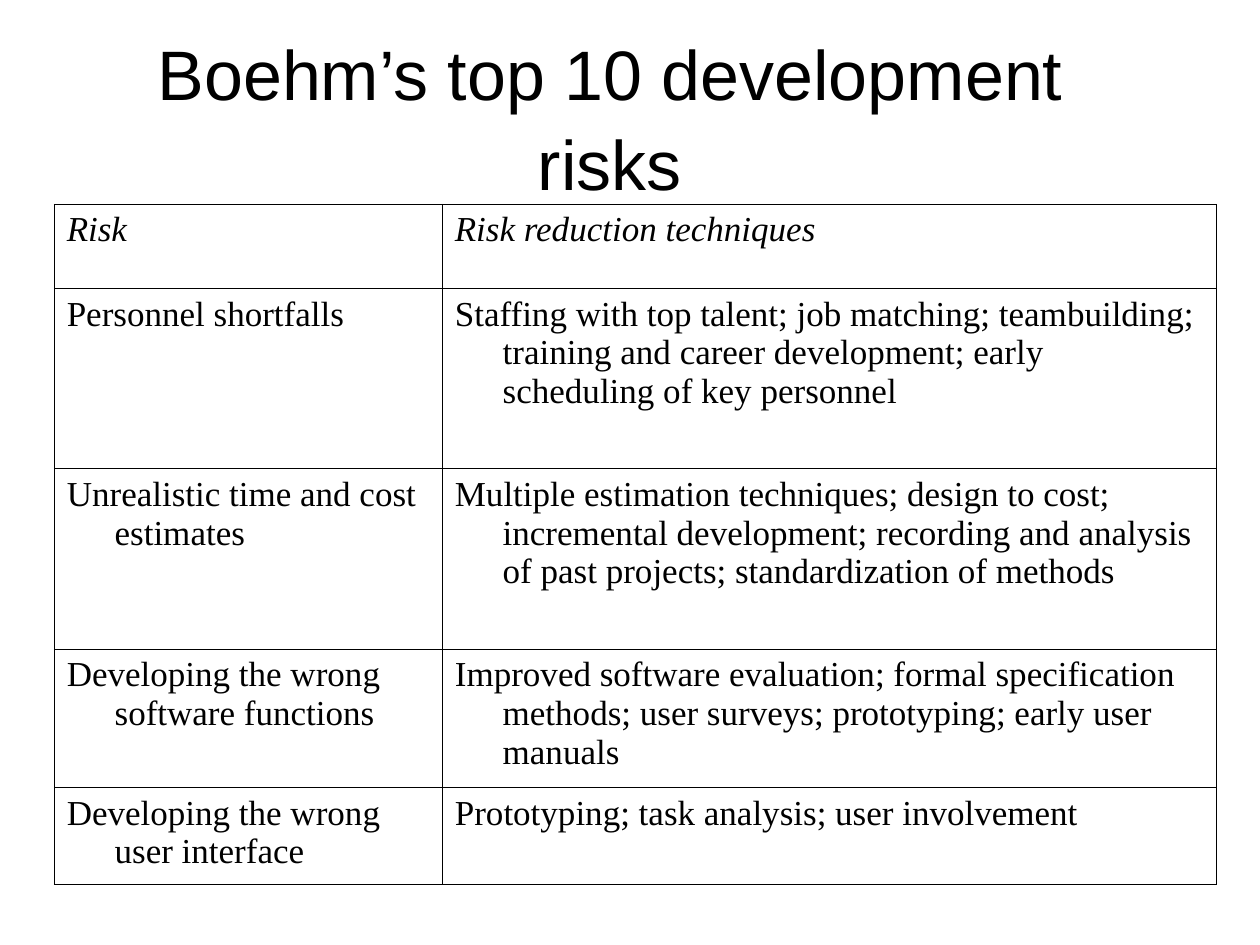
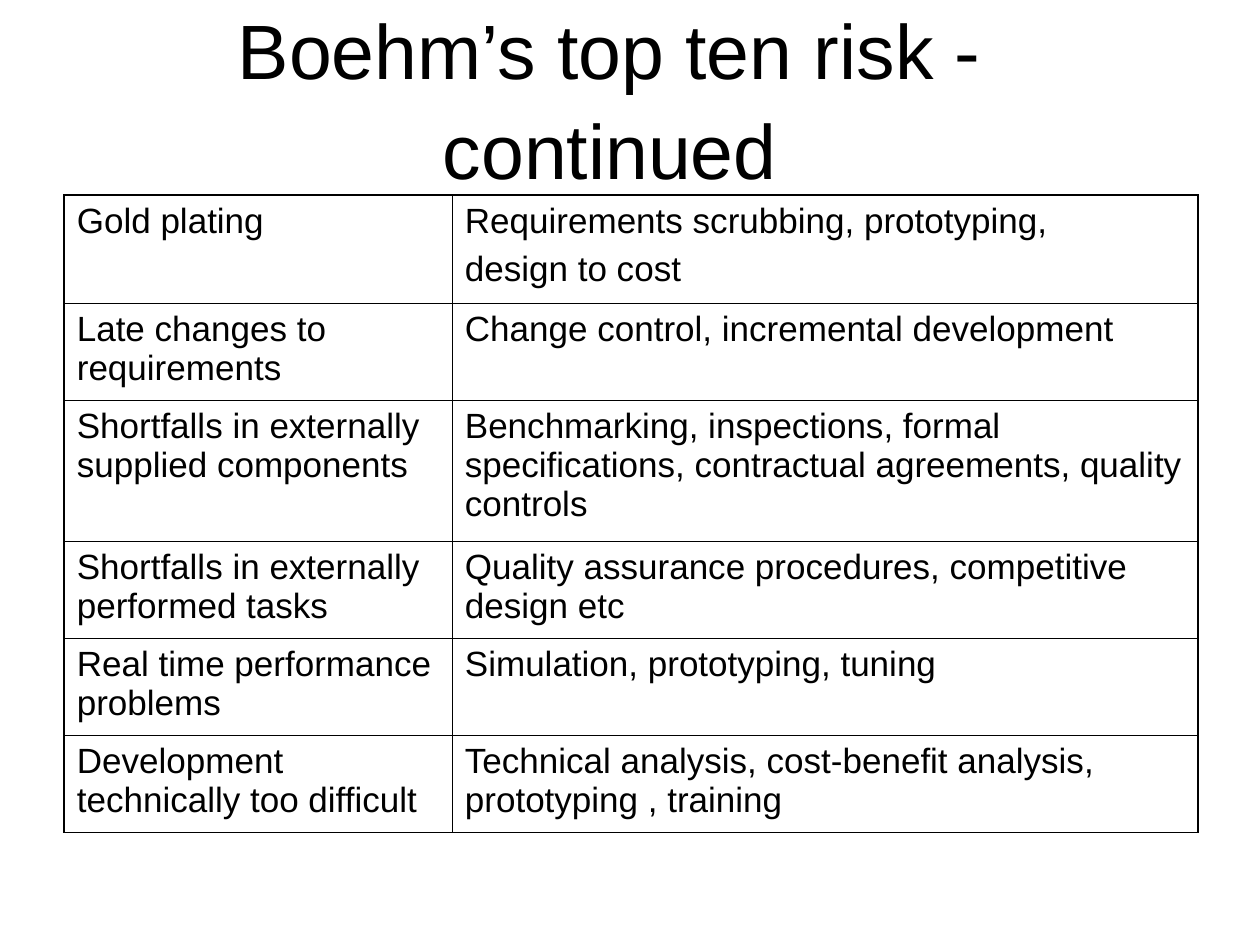
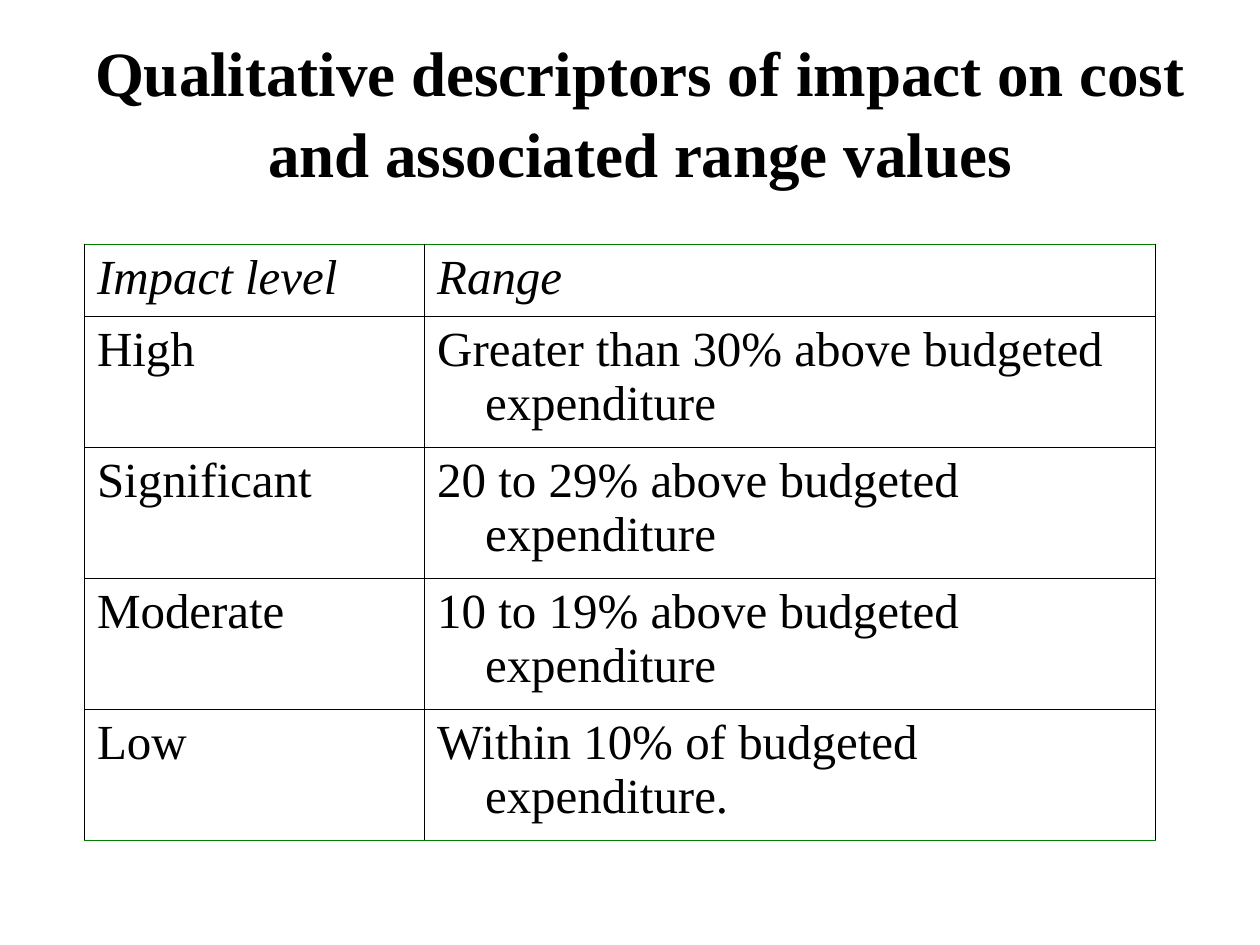
"""Build three slides of risk tables."""
import pptx
import pptx.dml.color
import pptx.enum.text
import pptx.oxml
import pptx.util
from pptx.oxml.ns import nsdecls

Inches = pptx.util.Inches
Pt = pptx.util.Pt
ALIGN = pptx.enum.text.PP_ALIGN

BLACK, GREEN = "000000", "008000"
SANS, SERIF = "Arial", "Times New Roman"
HANGING = 0.38
TITLE_LEFT, TITLE_HEIGHT, TITLE_SPACING = 0.59, 1.25, 1.08

SLIDES = [
    {
        "title": "Boehm’s top 10 development risks",
        "title_top": 0.28, "title_width": 8.5, "title_font": (SANS, 40, False),
        "table_at": (0.43, 1.62), "columns": (3.08, 6.14),
        "row_heights": (0.67, 1.43, 1.43, 1.1, 0.77),
        "cell_font": (SERIF, 20), "has_header": True, "hanging": True,
        "inner": (BLACK, 0.45), "outer": {},
        "rows": [
            ("Risk", "Risk reduction techniques"),
            ("Personnel shortfalls",
             "Staffing with top talent; job matching; teambuilding; training and "
             "career development; early scheduling of key personnel"),
            ("Unrealistic time and cost estimates",
             "Multiple estimation techniques; design to cost; incremental development; "
             "recording and analysis of past projects; standardization of methods"),
            ("Developing the wrong software functions",
             "Improved software evaluation; formal specification methods; user surveys; "
             "prototyping; early user manuals"),
            ("Developing the wrong user interface",
             "Prototyping; task analysis; user involvement"),
        ],
    },
    {
        "title": "Boehm’s top ten risk - continued",
        "title_top": 0.13, "title_width": 8.5, "title_font": (SANS, 44, False),
        "table_at": (0.51, 1.55), "columns": (3.08, 5.92),
        "row_heights": (0.86, 0.77, 1.12, 0.77, 0.77, 0.77),
        "cell_font": (SANS, 20), "has_header": False, "hanging": False,
        "inner": (BLACK, 0.45), "outer": dict.fromkeys("LRTB", (BLACK, 1.08)),
        "rows": [
            ("Gold plating", "Requirements scrubbing, prototyping,\ndesign to cost"),
            ("Late changes to requirements", "Change control, incremental development"),
            ("Shortfalls in externally supplied components",
             "Benchmarking, inspections, formal specifications, contractual agreements, "
             "quality controls"),
            ("Shortfalls in externally performed tasks",
             "Quality assurance procedures, competitive design etc"),
            ("Real time performance problems", "Simulation, prototyping, tuning"),
            ("Development technically too difficult",
             "Technical analysis, cost-benefit analysis, prototyping , training"),
        ],
    },
    {
        "title": "Qualitative descriptors of impact on cost and associated range values",
        "title_top": 0.24, "title_width": 8.98, "title_font": (SERIF, 36, True),
        "table_at": (0.67, 1.94), "columns": (2.7, 5.8),
        "row_heights": (0.57, 1.04, 1.04, 1.04, 1.04),
        "cell_font": (SERIF, 28), "has_header": True, "hanging": True,
        "inner": (BLACK, 0.34), "outer": dict.fromkeys("TB", (GREEN, 0.96)),
        "rows": [
            ("Impact level", "Range"),
            ("High", "Greater than 30% above budgeted expenditure"),
            ("Significant", "20 to 29% above budgeted expenditure"),
            ("Moderate", "10 to 19% above budgeted expenditure"),
            ("Low", "Within 10% of budgeted expenditure."),
        ],
    },
]


def set_font(paragraph, name, size, bold=False, italic=False):
    font = paragraph.font
    font.name, font.size, font.bold, font.italic = name, Pt(size), bold, italic
    font.color.rgb = pptx.dml.color.RGBColor.from_string(BLACK)


def add_title(slide, content):
    title = slide.shapes.title
    title.left, title.top = Inches(TITLE_LEFT), Inches(content["title_top"])
    title.width, title.height = Inches(content["title_width"]), Inches(TITLE_HEIGHT)
    frame = title.text_frame
    frame.text = content["title"]
    frame.word_wrap = True
    frame.auto_size = pptx.enum.text.MSO_AUTO_SIZE.NONE
    frame.vertical_anchor = pptx.enum.text.MSO_ANCHOR.MIDDLE
    paragraph = frame.paragraphs[0]
    paragraph.alignment = ALIGN.CENTER
    paragraph.line_spacing = TITLE_SPACING
    set_font(paragraph, *content["title_font"])


def set_borders(cell, borders):
    properties = cell._tc.get_or_add_tcPr()
    for side in "LRTB":
        color, width = borders[side]
        properties.append(pptx.oxml.parse_xml(
            f'<a:ln{side} {nsdecls("a")} w="{Pt(width)}"><a:solidFill>'
            f'<a:srgbClr val="{color}"/></a:solidFill></a:ln{side}>'))


def fill_cell(cell, text, content, is_header):
    cell.text = text
    for index, paragraph in enumerate(cell.text_frame.paragraphs):
        if content["hanging"]:
            properties = paragraph._p.get_or_add_pPr()
            properties.set("marL", str(Inches(HANGING)))
            properties.set("indent", str(-Inches(HANGING)))
        if index:
            paragraph.space_before = Pt(5)
        paragraph.alignment = ALIGN.JUSTIFY if is_header else ALIGN.LEFT
        set_font(paragraph, *content["cell_font"], italic=is_header)


def add_risk_table(slide, content):
    rows, columns, heights = content["rows"], content["columns"], content["row_heights"]
    left, top = content["table_at"]
    table = slide.shapes.add_table(
        len(rows), len(columns), Inches(left), Inches(top),
        Inches(sum(columns)), Inches(sum(heights))).table
    table.first_row = table.horz_banding = False
    for column, width in zip(table.columns, columns):
        column.width = Inches(width)
    for row_index, texts in enumerate(rows):
        table.rows[row_index].height = Inches(heights[row_index])
        for column_index, text in enumerate(texts):
            cell = table.cell(row_index, column_index)
            fill_cell(cell, text, content, content["has_header"] and row_index == 0)
            at_edge = {"L": column_index == 0, "R": column_index == len(columns) - 1,
                       "T": row_index == 0, "B": row_index == len(rows) - 1}
            inner = content["inner"]
            set_borders(cell, {side: content["outer"].get(side, inner) if edge else inner
                               for side, edge in at_edge.items()})
            cell.fill.background()


def main():
    presentation = pptx.Presentation()
    presentation.slide_width, presentation.slide_height = Inches(10), Inches(7.5)
    for content in SLIDES:
        slide = presentation.slides.add_slide(presentation.slide_layouts[5])
        add_title(slide, content)
        add_risk_table(slide, content)
    presentation.save("out.pptx")


if __name__ == "__main__":
    main()
